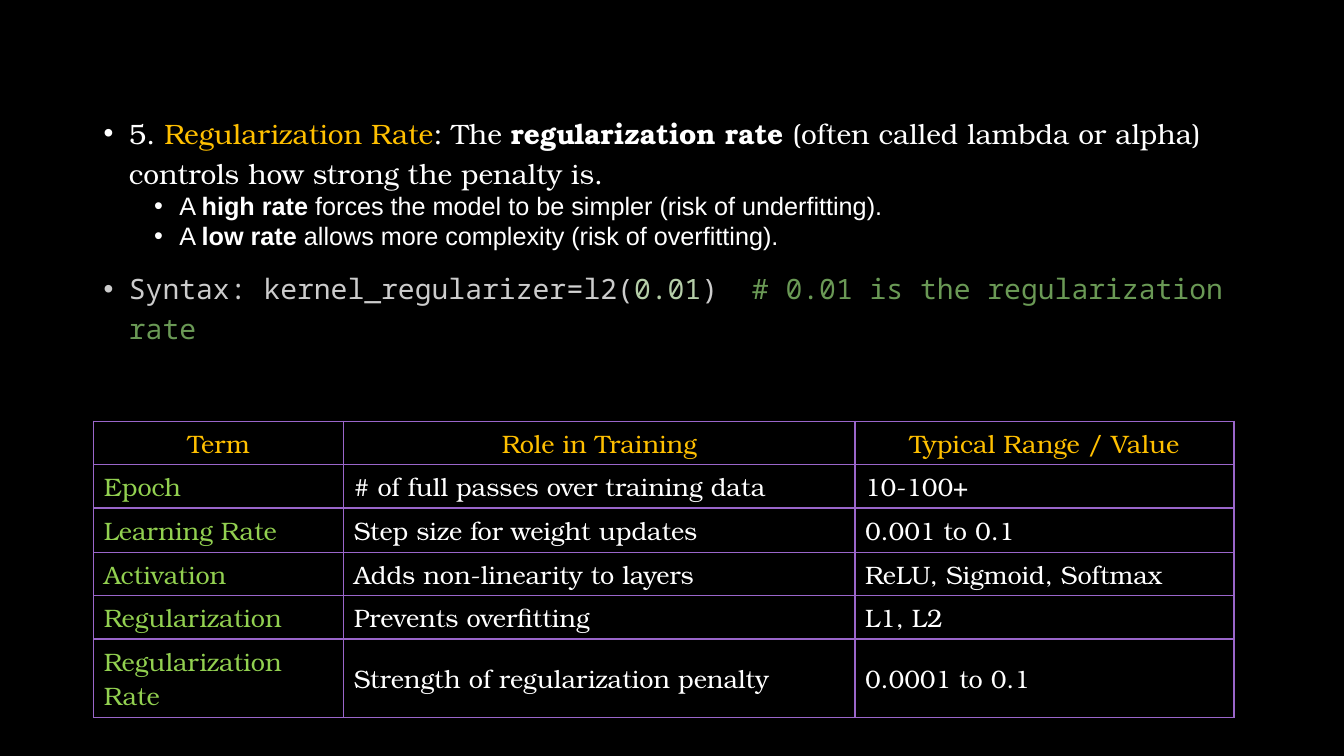
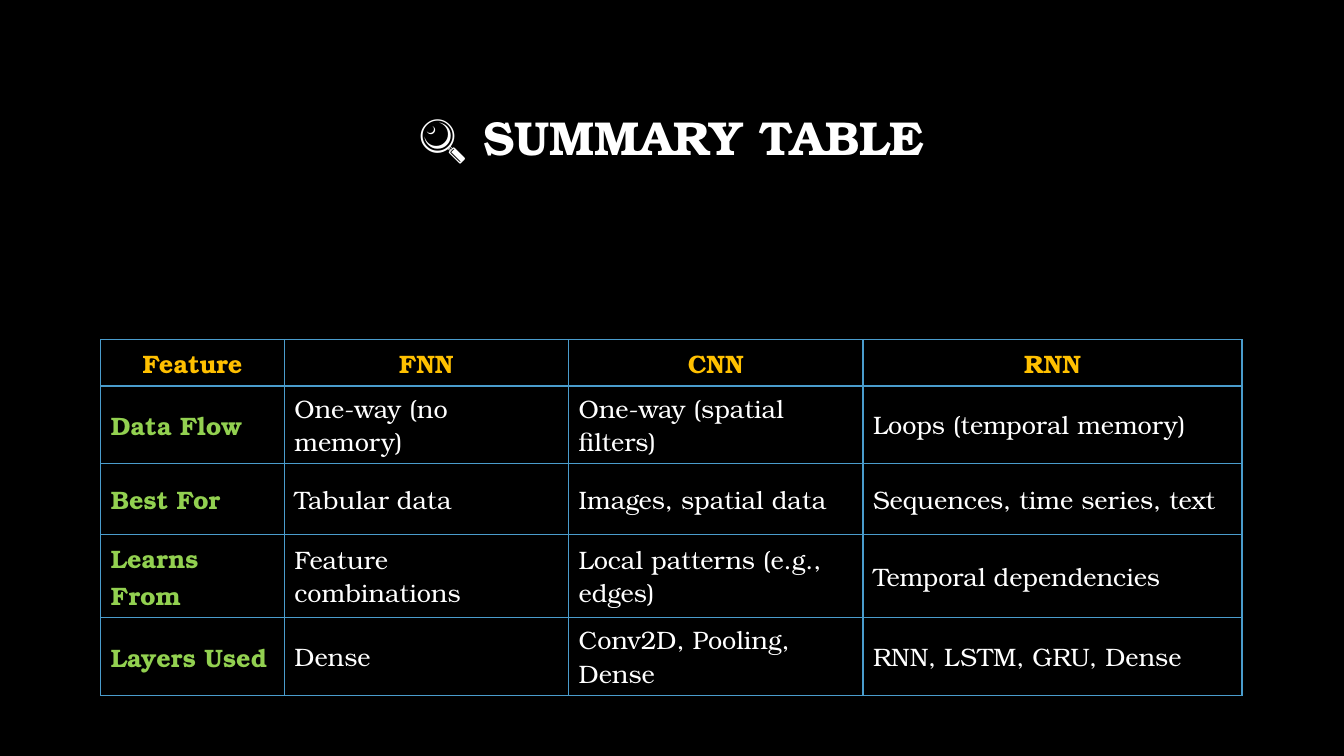
import pptx
import pptx.dml.color
import pptx.enum.text
import pptx.oxml
import pptx.oxml.ns
import pptx.util

Inches = pptx.util.Inches
Pt = pptx.util.Pt
RGBColor = pptx.dml.color.RGBColor
PP_ALIGN = pptx.enum.text.PP_ALIGN
MSO_ANCHOR = pptx.enum.text.MSO_ANCHOR

BLACK = RGBColor(0x00, 0x00, 0x00)
WHITE = RGBColor(0xFF, 0xFF, 0xFF)
GOLD = RGBColor(0xFF, 0xC0, 0x00)
GREEN = RGBColor(0x92, 0xD0, 0x50)
PURPLE = RGBColor(0x9A, 0x66, 0xCA)
BLUE = RGBColor(0x4A, 0x9C, 0xCC)
CODE_TEXT = RGBColor(0xCC, 0xCC, 0xCC)
CODE_OPERATOR = RGBColor(0xD4, 0xD4, 0xD4)
CODE_NUMBER = RGBColor(0xB5, 0xCE, 0xA8)
CODE_COMMENT = RGBColor(0x6A, 0x99, 0x55)

SERIF = "TeX Gyre Bonum"
SANS = "Arial"
MONO = "Noto Sans Mono"
CONTENT_WIDTH = Inches(11.32)


def add_span(para, text, color, bold=False, name=SERIF, size=18):
    span = para.add_run()
    span.text = text
    for key, value in {"name": name, "size": Pt(size), "bold": bold}.items():
        setattr(span.font, key, value)
    span.font.color.rgb = color


def add_grid(slide, left, top, widths, heights, rows, border, bold_labels):
    """Add a table with a gold header row, green first column and thin borders."""
    frame = slide.shapes.add_table(
        len(rows), len(widths), Inches(left), Inches(top),
        Inches(sum(widths)), Inches(sum(heights)))
    table = frame.table
    table.first_row = False
    table.horz_banding = False
    for column, width in zip(table.columns, widths):
        column.width = Inches(width)
    for r, (row, height) in enumerate(zip(rows, heights)):
        table.rows[r].height = Inches(height)
        for c, text in enumerate(row):
            cell = table.cell(r, c)
            cell.vertical_anchor = MSO_ANCHOR.MIDDLE
            properties = cell._tc.get_or_add_tcPr()
            for side in ("lnL", "lnR", "lnT", "lnB"):
                properties.append(pptx.oxml.parse_xml(
                    f'<a:{side} {pptx.oxml.ns.nsdecls("a")} w="{Pt(1)}">'
                    f'<a:solidFill><a:srgbClr val="{border}"/></a:solidFill>'
                    f'</a:{side}>'))
            cell.fill.background()
            para = cell.text_frame.paragraphs[0]
            para.alignment = PP_ALIGN.CENTER if r == 0 else PP_ALIGN.LEFT
            color = GOLD if r == 0 else GREEN if c == 0 else WHITE
            add_span(para, text, color, bold_labels and (r == 0 or c == 0))


deck = pptx.Presentation()
deck.slide_width = Inches(13.33)
deck.slide_height = Inches(7.5)
pages = []
for _ in range(2):
    page = deck.slides.add_slide(deck.slide_layouts[6])
    page.background.fill.solid()
    page.background.fill.fore_color.rgb = BLACK
    pages.append(page)
rate_page, summary_page = pages

# Regularization rate
TOP_LEVEL = {"line_spacing": 1.2, "space_before": Pt(10)}
FIRST = {"line_spacing": 1.2, "space_before": Pt(0)}
SUB_LEVEL = {"level": 1, "space_before": Pt(0)}
BODY = {"name": SERIF, "size": 20}
DETAIL = {"name": SANS, "size": 18}
CODE = {"name": MONO, "size": 20}
bullets = [
    (0.25, FIRST, BODY, [
        ("5. ", WHITE, False),
        ("Regularization Rate", GOLD, False),
        (": The ", WHITE, False),
        ("regularization rate", WHITE, True),
        (" (often called lambda or alpha) controls how strong the penalty is.", WHITE, False)]),
    (0.75, SUB_LEVEL, DETAIL, [
        ("A ", WHITE, False),
        ("high rate", WHITE, True),
        (" forces the model to be simpler (risk of underfitting).", WHITE, False)]),
    (0.75, SUB_LEVEL, DETAIL, [
        ("A ", WHITE, False),
        ("low rate", WHITE, True),
        (" allows more complexity (risk of overfitting).", WHITE, False)]),
    (0.25, TOP_LEVEL, CODE, [
        ("Syntax: kernel_regularizer", CODE_TEXT, False),
        ("=", CODE_OPERATOR, False),
        ("l2(", CODE_TEXT, False),
        ("0.01", CODE_NUMBER, False),
        (")  ", CODE_TEXT, False),
        ("# 0.01 is the regularization rate", CODE_COMMENT, False)]),
]
box = rate_page.shapes.add_textbox(Inches(0.93), Inches(1.04), CONTENT_WIDTH, Inches(2.29))
box.text_frame.word_wrap = True
for index, (indent, spacing, font, spans) in enumerate(bullets):
    para = box.text_frame.paragraphs[0] if index == 0 else box.text_frame.add_paragraph()
    properties = para._p.get_or_add_pPr()
    properties.set("marL", str(Inches(indent)))
    properties.set("indent", str(Inches(-0.25)))
    for element in ('buFont {} typeface="Arial"', 'buChar {} char="•"'):
        properties.append(pptx.oxml.parse_xml(
            f'<a:{element.format(pptx.oxml.ns.nsdecls("a"))}/>'))
    for key, value in spacing.items():
        setattr(para, key, value)
    for text, color, bold in spans:
        add_span(para, text, color, bold, **font)

add_grid(
    rate_page, 0.93, 4.18, [2.48, 5.07, 3.76], [0.43, 0.43, 0.44, 0.43, 0.43, 0.78],
    [("Term", "Role in Training", "Typical Range / Value"),
     ("Epoch", "# of full passes over training data", "10-100+"),
     ("Learning Rate", "Step size for weight updates", "0.001 to 0.1"),
     ("Activation", "Adds non-linearity to layers", "ReLU, Sigmoid, Softmax"),
     ("Regularization", "Prevents overfitting", "L1, L2"),
     ("Regularization Rate", "Strength of regularization penalty", "0.0001 to 0.1")],
    PURPLE, bold_labels=False)

# Summary table
title = summary_page.shapes.add_textbox(Inches(1), Inches(0.66), CONTENT_WIDTH, Inches(1.45))
title.text_frame.word_wrap = True
title.text_frame.vertical_anchor = MSO_ANCHOR.MIDDLE
para = title.text_frame.paragraphs[0]
para.alignment = PP_ALIGN.CENTER
para.line_spacing = 0.9
add_span(para, "🔍 SUMMARY TABLE", WHITE, bold=True, size=34)

add_grid(
    summary_page, 1, 3.37, [1.82, 2.82, 2.92, 3.76], [0.46, 0.77, 0.7, 0.83, 0.77],
    [("Feature", "FNN", "CNN", "RNN"),
     ("Data Flow", "One-way (no memory)", "One-way (spatial filters)", "Loops (temporal memory)"),
     ("Best For", "Tabular data", "Images, spatial data", "Sequences, time series, text"),
     ("Learns From", "Feature combinations", "Local patterns (e.g., edges)", "Temporal dependencies"),
     ("Layers Used", "Dense", "Conv2D, Pooling, Dense", "RNN, LSTM, GRU, Dense")],
    BLUE, bold_labels=True)

deck.save("out.pptx")
